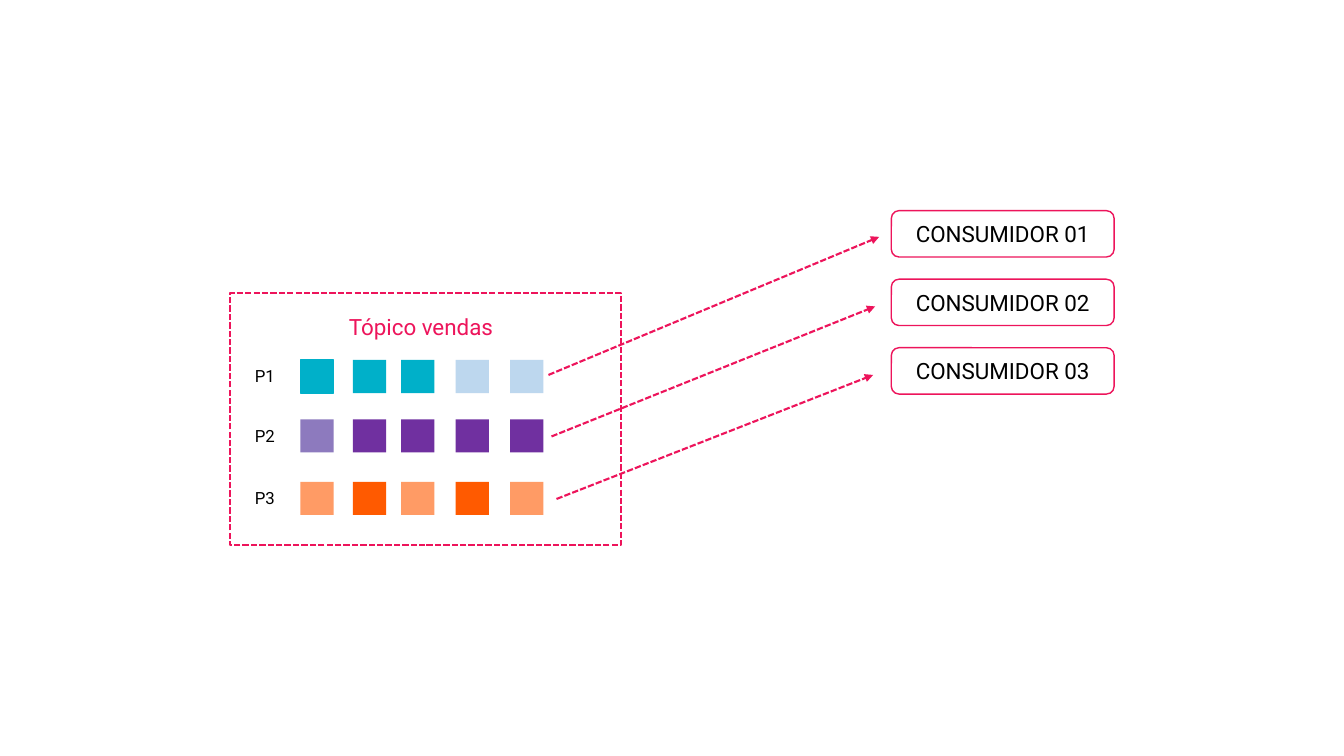
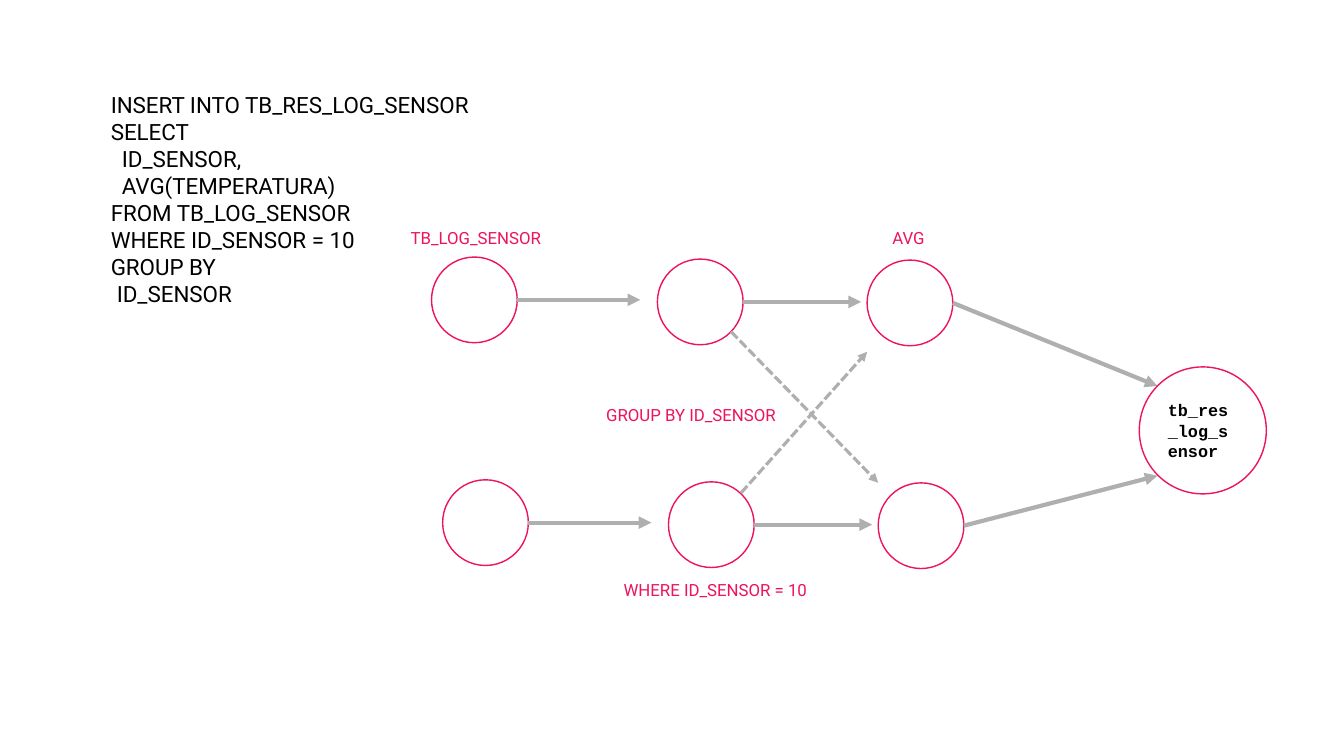
from lxml.etree import SubElement
from pptx import Presentation
from pptx.dml.color import RGBColor
from pptx.enum.dml import MSO_LINE
from pptx.enum.shapes import MSO_CONNECTOR, MSO_SHAPE
from pptx.enum.text import MSO_ANCHOR, MSO_AUTO_SIZE, PP_ALIGN
from pptx.oxml.ns import qn
from pptx.util import Inches, Pt

COLORS = {
    "white": "FFFFFF",
    "black": "000000",
    "pink": "ED145B",
    "gray": "AFAFAF",
    "teal": "00B0C9",
    "pale_blue": "BDD7EE",
    "lilac": "8D7ABE",
    "purple": "7030A0",
    "peach": "FF9B65",
    "orange": "FF5A00",
}


def color(name):
    return RGBColor.from_string(COLORS[name])


class Deck:
    font = "Roboto"
    code_font = "Courier New"

    def __init__(self):
        self.presentation = Presentation()
        self.presentation.slide_width = Inches(13.33)
        self.presentation.slide_height = Inches(7.5)
        self.slide = None

    def new_slide(self):
        self.slide = self.presentation.slides.add_slide(self.presentation.slide_layouts[6])

    def style_line(self, line, name, width, dashed):
        line.color.rgb = color(name)
        line.width = Pt(width)
        if dashed:
            line.dash_style = MSO_LINE.SQUARE_DOT

    def fill_text(self, frame, lines, size, name="black", align=PP_ALIGN.LEFT, font=None, bold=False):
        frame.word_wrap = True
        for index, text in enumerate(lines):
            paragraph = frame.paragraphs[0] if index == 0 else frame.add_paragraph()
            paragraph.text = text
            paragraph.alignment = align
            paragraph.font.name = font or self.font
            paragraph.font.size = Pt(size)
            paragraph.font.bold = bold
            paragraph.font.color.rgb = color(name)

    def shape(self, kind, left, top, width, height, fill="white", line="pink", weight=1, dashed=False):
        shape = self.slide.shapes.add_shape(
            kind, Inches(left), Inches(top), Inches(width), Inches(height))
        shape.shadow.inherit = False
        shape.fill.solid()
        shape.fill.fore_color.rgb = color(fill)
        if line:
            self.style_line(shape.line, line, weight, dashed)
        else:
            shape.line.fill.background()
        return shape

    def circle(self, left, top, diameter):
        return self.shape(MSO_SHAPE.OVAL, left, top, diameter, diameter)

    def text(self, left, top, width, height, lines, size=12, name="black",
             align=PP_ALIGN.LEFT, anchor=MSO_ANCHOR.TOP):
        box = self.slide.shapes.add_textbox(
            Inches(left), Inches(top), Inches(width), Inches(height))
        frame = box.text_frame
        frame.auto_size = MSO_AUTO_SIZE.SHAPE_TO_FIT_TEXT
        frame.vertical_anchor = anchor
        self.fill_text(frame, lines, size, name, align)
        return frame

    def label(self, left, top, width, text):
        self.text(left, top, width, 0.3, [text], 12, "pink", PP_ALIGN.CENTER, MSO_ANCHOR.MIDDLE)

    def arrow(self, start, end, name="gray", weight=3, dashed=False):
        connector = self.slide.shapes.add_connector(
            MSO_CONNECTOR.STRAIGHT, *(Inches(value) for value in (*start, *end)))
        self.style_line(connector.line, name, weight, dashed)
        properties = connector.element.spPr
        SubElement(properties.find(qn("a:ln")), qn("a:tailEnd"), type="triangle")
        SubElement(properties, qn("a:effectLst"))


def build_topic_slide(deck):
    deck.new_slide()
    deck.shape(MSO_SHAPE.RECTANGLE, 2.28, 2.91, 3.88, 2.5, weight=1.5, dashed=True)
    deck.text(2.94, 3.06, 2.47, 0.37, ["Tópico vendas"], 16, "pink", PP_ALIGN.CENTER)

    message_lefts = (2.98, 3.5, 3.98, 4.52, 5.06)
    partitions = (
        ("P1", 3.57, ["teal"] * 3 + ["pale_blue"] * 2),
        ("P2", 4.16, ["lilac"] + ["purple"] * 4),
        ("P3", 4.78, ["peach", "orange", "peach", "orange", "peach"]),
    )
    for name, top, fills in partitions:
        deck.text(2.43, top + 0.01, 0.43, 0.3, [name])
        for left, fill in zip(message_lefts, fills):
            first = name == "P1" and left == message_lefts[0]
            deck.shape(MSO_SHAPE.RECTANGLE, left, top, 0.33, 0.33, fill, fill if first else None)

    arrows = (
        ((5.44, 3.72), (8.72, 2.35)),
        ((5.47, 4.33), (8.68, 3.04)),
        ((5.52, 4.95), (8.66, 3.72)),
    )
    for index, (start, end) in enumerate(arrows):
        deck.arrow(start, end, "pink", 1.5, dashed=True)
        consumer = deck.shape(MSO_SHAPE.ROUNDED_RECTANGLE, 8.84, 2.09 + 0.68 * index, 2.21, 0.46)
        deck.fill_text(consumer.text_frame, [f"CONSUMIDOR {index + 1:02}"], 16, align=PP_ALIGN.CENTER)


def build_query_slide(deck):
    deck.new_slide()
    query = (
        ("INSERT INTO TB_RES_LOG_SENSOR", 0),
        ("SELECT", 0),
        ("ID_SENSOR,", 0.11),
        ("AVG(TEMPERATURA)", 0.11),
        ("FROM TB_LOG_SENSOR", 0),
        ("WHERE ID_SENSOR = 10", 0),
        ("GROUP BY", 0),
        ("ID_SENSOR", 0.06),
    )
    frame = deck.text(1, 0.86, 4.62, 2.26, [text for text, indent in query], 16)
    for paragraph, (text, indent) in zip(frame.paragraphs, query):
        paragraph._p.get_or_add_pPr().set("marL", str(Inches(indent)))

    diameter = 0.85
    stages = ((4.28, 2.55, 6.35), (6.52, 2.57, 8.54), (8.6, 2.58, 11.48))
    for shift, drop, result_top in ((0, 0, 3.83), (0.11, 2.21, 4.72)):
        for left, top, arrow_end in stages:
            deck.circle(left + shift, top + drop, diameter)
            middle = top + drop + diameter / 2
            start = (left + shift + diameter, middle)
            if left == stages[-1][0]:
                deck.arrow(start, (arrow_end, result_top))
            else:
                deck.arrow(start, (arrow_end + shift, middle))

    result = deck.circle(11.3, 3.64, 1.26)
    deck.fill_text(result.text_frame, ["tb_res_log_sensor"], 12, font=deck.code_font, bold=True)

    deck.arrow((7.35, 4.89), (8.6, 3.49), weight=2.25, dashed=True)
    deck.arrow((7.25, 3.29), (8.71, 4.79), weight=2.25, dashed=True)
    deck.label(3.87, 2.21, 1.7, "TB_LOG_SENSOR")
    deck.label(8.72, 2.21, 0.58, "AVG")
    deck.label(5.8, 5.7, 2.59, "WHERE ID_SENSOR = 10")
    deck.label(5.87, 3.97, 1.97, "GROUP BY ID_SENSOR")


def main():
    deck = Deck()
    build_topic_slide(deck)
    build_query_slide(deck)
    deck.presentation.save("out.pptx")


if __name__ == "__main__":
    main()
